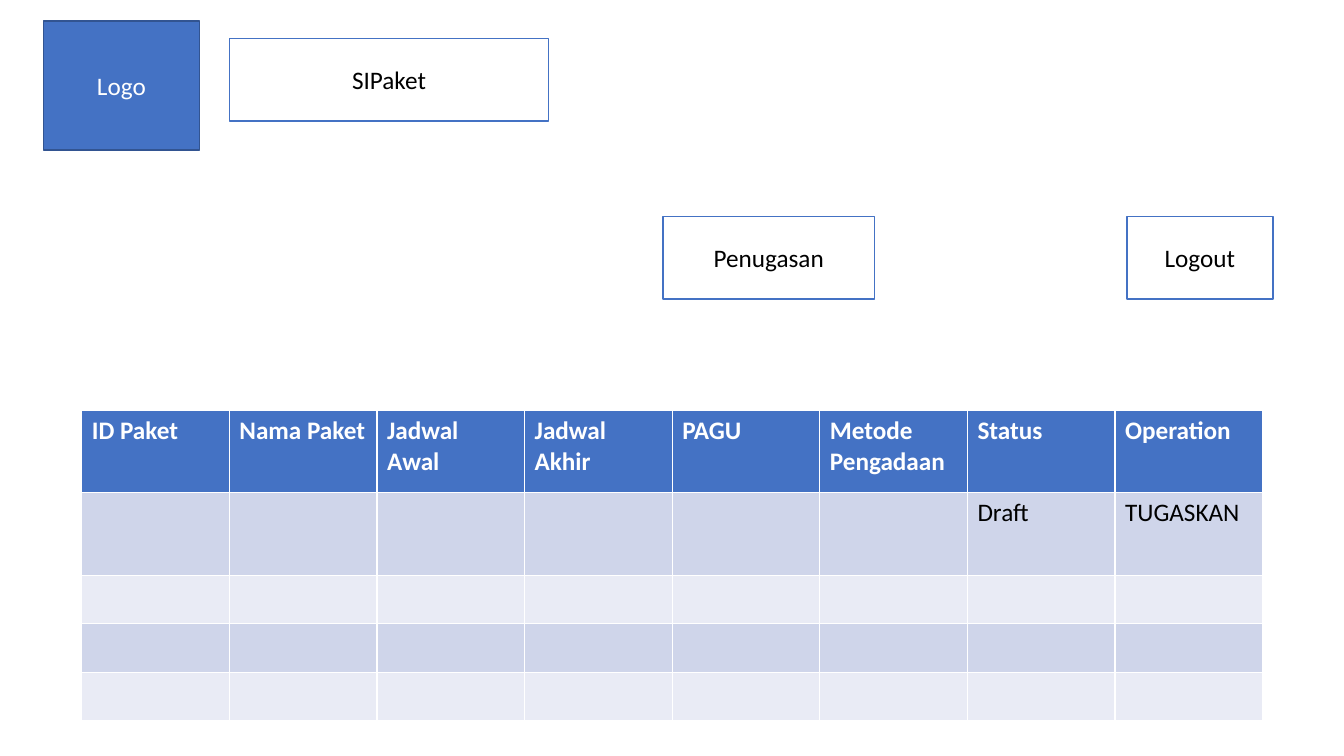
from dataclasses import dataclass

from pptx import Presentation
from pptx.dml.color import RGBColor
from pptx.enum.shapes import MSO_SHAPE
from pptx.enum.text import MSO_ANCHOR, PP_ALIGN
from pptx.slide import Slide
from pptx.text.text import TextFrame
from pptx.util import Cm, Pt

BLUE, NAVY = "4472C4", "325491"
WHITE, BLACK = "FFFFFF", "000000"
BANDS = ("CFD5EA", "E9EBF5")
FONT = "Calibri"
ROW_H = 2.08
COL_W = 3.72


@dataclass
class Box:
    text: str
    left: float
    top: float
    width: float
    height: float = ROW_H
    fill: str = WHITE
    line: str = BLUE
    ink: str = BLACK


BOXES = [
    Box("Penugasan", 16.71, 5.46, 5.33),
    Box("Logo", 1.09, 0.53, 3.94, 3.25, BLUE, NAVY, WHITE),
    Box("SIPaket", 5.79, 0.97, 8.03),
    Box("Logout", 28.4, 5.46, 3.68),
]
HEADS = ["ID Paket", "Nama Paket", "Jadwal Awal", "Jadwal Akhir",
         "PAGU", "Metode Pengadaan", "Status", "Operation"]
ROWS = [HEADS, [""] * 6 + ["Draft", "TUGASKAN"]] + [[""] * 8] * 3
HEIGHTS = [ROW_H] * 2 + [1.22] * 3


def color(code: str) -> RGBColor:
    return RGBColor.from_string(code)


def write(frame: TextFrame, text: str, ink: str, bold: bool = False) -> None:
    frame.text = text
    for run in frame.paragraphs[0].runs:
        font = run.font
        font.name, font.size, font.bold = FONT, Pt(18), bold
        font.color.rgb = color(ink)


def draw_box(slide: Slide, box: Box) -> None:
    shape = slide.shapes.add_shape(
        MSO_SHAPE.RECTANGLE, Cm(box.left), Cm(box.top),
        Cm(box.width), Cm(box.height))
    shape.shadow.inherit = False
    shape.fill.solid()
    shape.fill.fore_color.rgb = color(box.fill)
    shape.line.color.rgb = color(box.line)
    shape.line.width = Pt(1)
    frame = shape.text_frame
    write(frame, box.text, box.ink)
    frame.vertical_anchor = MSO_ANCHOR.MIDDLE
    frame.paragraphs[0].alignment = PP_ALIGN.CENTER


def draw_table(slide: Slide) -> None:
    table = slide.shapes.add_table(
        len(ROWS), len(HEADS), Cm(2.06), Cm(10.34),
        Cm(COL_W * len(HEADS)), Cm(sum(HEIGHTS))).table
    for col in table.columns:
        col.width = Cm(COL_W)
    for r, (texts, height) in enumerate(zip(ROWS, HEIGHTS)):
        table.rows[r].height = Cm(height)
        head = r == 0
        for c, text in enumerate(texts):
            cell = table.cell(r, c)
            cell.fill.solid()
            cell.fill.fore_color.rgb = color(BLUE if head else BANDS[(r - 1) % 2])
            write(cell.text_frame, text, WHITE if head else BLACK, head)


def main() -> None:
    deck = Presentation()
    deck.slide_width, deck.slide_height = Cm(33.87), Cm(19.05)
    slide = deck.slides.add_slide(deck.slide_layouts.get_by_name("Blank"))
    for box in BOXES:
        draw_box(slide, box)
    draw_table(slide)
    deck.save("out.pptx")


if __name__ == "__main__":
    main()
